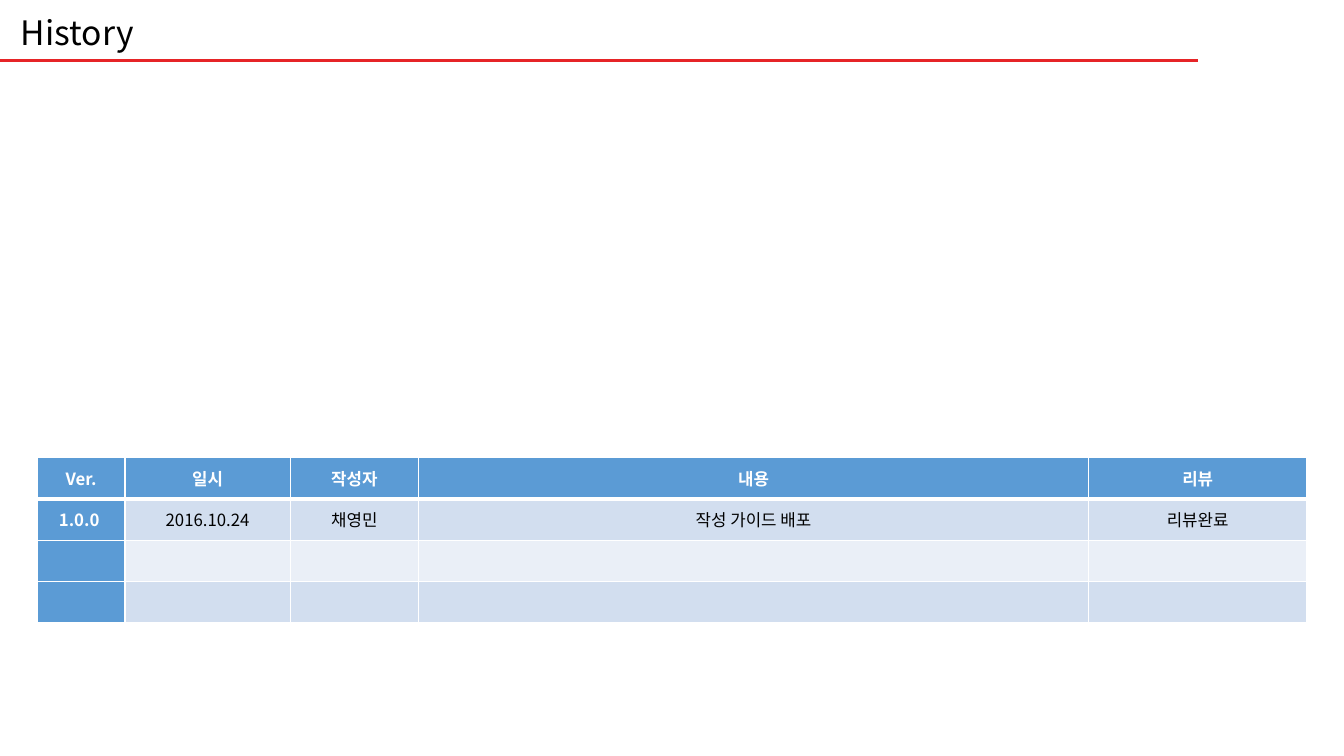
"""Build a document history slide with a title rule and a version table."""
from lxml import etree
from pptx import Presentation
from pptx.dml.color import RGBColor
from pptx.enum.shapes import MSO_CONNECTOR
from pptx.enum.text import MSO_ANCHOR, PP_ALIGN
from pptx.oxml.ns import qn
from pptx.util import Inches, Pt

STRAIGHT = MSO_CONNECTOR.STRAIGHT
MIDDLE = MSO_ANCHOR.MIDDLE
CENTER = PP_ALIGN.CENTER

BLACK = RGBColor(0x00, 0x00, 0x00)
WHITE = RGBColor(0xFF, 0xFF, 0xFF)
RED = RGBColor(0xE6, 0x24, 0x27)
BLUE = RGBColor(0x5B, 0x9B, 0xD5)
BAND_DARK = RGBColor(0xD2, 0xDE, 0xEF)
BAND_LIGHT = RGBColor(0xEA, 0xEF, 0xF7)

FONT = "Noto Sans CJK KR"
COLUMN_WIDTHS = [0.87, 1.64, 1.27, 6.65, 2.16]
ROW_HEIGHT = 0.41
HISTORY = [
    ["Ver.", "일시", "작성자", "내용", "리뷰"],
    ["1.0.0 ", "2016.10.24", "채영민", "작성 가이드 배포", "리뷰완료"],
    [""] * 5,
    [""] * 5,
]


def add_span(para, text, color, **formats):
    """Add a run in the slide font, for Latin and Korean letters alike."""
    span = para.add_run()
    span.text = text
    for name, value in {"name": FONT, **formats}.items():
        setattr(span.font, name, value)
    span.font.color.rgb = color
    latin = span.font._element.find(qn("a:latin"))
    korean = etree.Element(qn("a:ea"), typeface=FONT)
    latin.addnext(korean)


def add_title(page, text):
    """Add the slide title."""
    box = page.shapes.add_textbox(Inches(0.11), Inches(0.08), Inches(5.39), Inches(0.52))
    frame = box.text_frame
    frame.word_wrap = True
    frame.vertical_anchor = MIDDLE
    para = frame.paragraphs[0]
    para.line_spacing = 0.9
    add_span(para, text, BLACK, size=Pt(24))


def add_rule(page):
    """Add the red line under the title."""
    rule = page.shapes.add_connector(STRAIGHT, 0, Inches(0.6), Inches(11.88), Inches(0.6))
    rule.line.color.rgb = RED
    rule.line.width = Pt(1.5)
    etree.SubElement(rule._element.spPr, qn("a:effectLst"))


def set_borders(cell, top, bottom):
    """Draw white borders round a cell, with top and bottom widths in points."""
    properties = cell._tc.get_or_add_tcPr()
    for side, points in {"L": 1, "R": 1, "T": top, "B": bottom}.items():
        line = etree.SubElement(properties, qn(f"a:ln{side}"), w=str(Pt(points)))
        fill = etree.SubElement(line, qn("a:solidFill"))
        etree.SubElement(fill, qn("a:srgbClr"), val=str(WHITE))


def format_cell(cell, text, row, column):
    """Fill a cell with its text, borders and band colour."""
    heading = row == 0 or column == 0
    margin = Inches(0.01 if column == len(COLUMN_WIDTHS) - 1 else 0.07)
    formats = {
        "margin_left": margin,
        "margin_right": margin,
        "margin_top": 0,
        "margin_bottom": 0,
        "vertical_anchor": MIDDLE,
    }
    for name, value in formats.items():
        setattr(cell, name, value)
    set_borders(cell, top=3 if row == 1 else 1, bottom=3 if row == 0 else 1)
    cell.fill.solid()
    band = BAND_DARK if row % 2 else BAND_LIGHT
    cell.fill.fore_color.rgb = BLUE if heading else band
    para = cell.text_frame.paragraphs[0]
    para.alignment = CENTER
    if text:
        add_span(para, text, WHITE if heading else BLACK, size=Pt(12), bold=heading)


def add_history_table(page):
    """Add the version table."""
    table = page.shapes.add_table(
        len(HISTORY), len(COLUMN_WIDTHS), Inches(0.37), Inches(4.54),
        Inches(sum(COLUMN_WIDTHS)), Inches(ROW_HEIGHT * len(HISTORY)),
    ).table
    table.first_col = True
    for column, width in zip(table.columns, COLUMN_WIDTHS):
        column.width = Inches(width)
    for row, texts in enumerate(HISTORY):
        table.rows[row].height = Inches(ROW_HEIGHT)
        for column, text in enumerate(texts):
            format_cell(table.cell(row, column), text, row, column)


def main():
    """Build and save the deck."""
    deck = Presentation()
    deck.slide_width = Inches(13.33)
    deck.slide_height = Inches(7.5)
    page = deck.slides.add_slide(deck.slide_layouts[6])
    add_rule(page)
    add_title(page, "History")
    add_history_table(page)
    deck.save("out.pptx")


if __name__ == "__main__":
    main()
